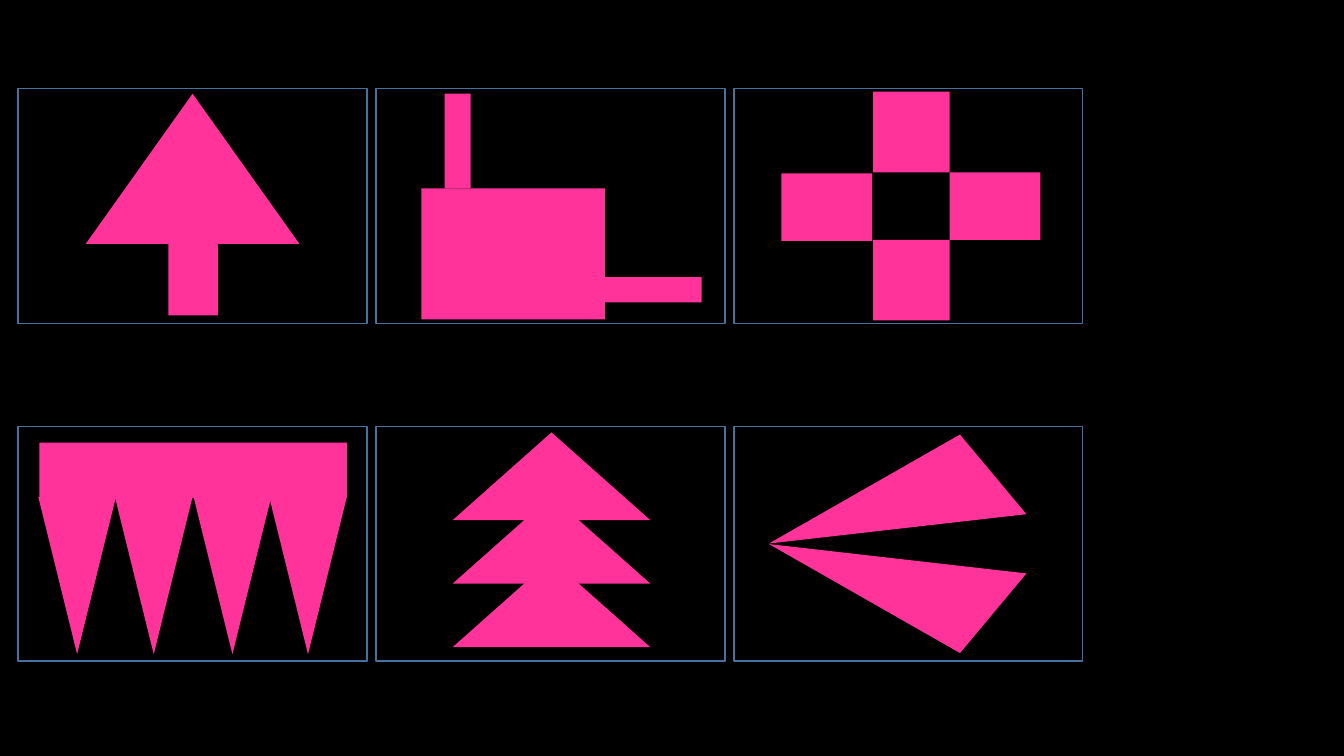
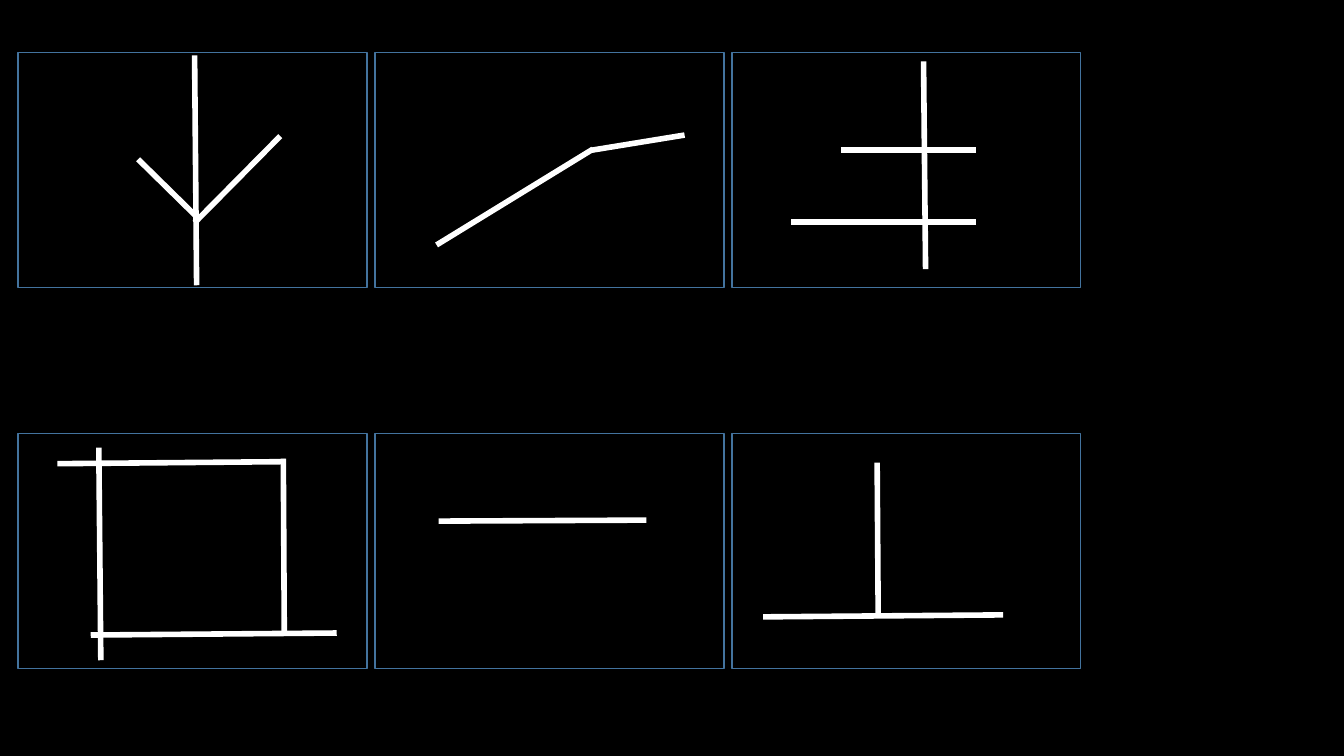
"""Build two slides of framed figures: solid pink silhouettes and white line drawings."""
from itertools import product
from typing import NamedTuple

from lxml import etree
from pptx import Presentation
from pptx.dml.color import RGBColor
from pptx.enum import shapes as kinds
from pptx.oxml import ns
from pptx.util import Inches, Pt

COLORS = {"night": "000000", "pink": "FF3399", "chalk": "FFFFFF", "frame": "43739E"}
FRAME_SIZE = (3.46, 2.33)
RECT = kinds.MSO_SHAPE.RECTANGLE
TRIANGLE = kinds.MSO_SHAPE.ISOSCELES_TRIANGLE


class Block(NamedTuple):
    kind: int
    left: float
    top: float
    width: float
    height: float
    rotation: float = 0
    apex: float = 0.5


class Stroke(NamedTuple):
    x1: float
    y1: float
    x2: float
    y2: float


class FrameGrid(NamedTuple):
    left: float
    pitch: float
    tops: tuple[float, float]


UP_ARROW = [Block(TRIANGLE, 0.85, 0.93, 2.12, 1.49), Block(RECT, 1.67, 2.41, 0.49, 0.72)]
FACTORY = [
    Block(RECT, 4.18, 1.87, 1.82, 1.3),
    Block(RECT, 4.41, 0.93, 0.26, 0.94),
    Block(RECT, 6, 2.75, 0.96, 0.25),
]
CROSS = [Block(RECT, 8.66, top, 0.76, 0.8) for top in (0.91, 2.38)] + [
    Block(RECT, 9.42, 1.71, 0.9, 0.67),
    Block(RECT, 7.75, 1.72, 0.9, 0.67),
]
ICICLES = [Block(RECT, 0.39, 4.39, 3.05, 0.55)] + [
    Block(TRIANGLE, left, 4.93, 0.77, 1.56, 180) for left in (0.38, 1.14, 1.92, 2.67)
]
FIR_TREE = [Block(TRIANGLE, 4.49, 4.29 + 0.63 * tier, 1.96, 0.87) for tier in range(3)]
BEAK = [
    Block(TRIANGLE, 7.57, 4.39, 2.57, 0.86, 353.5, 0.78),
    Block(TRIANGLE, 7.57, 5.54, 2.57, 0.86, 186.5, 0.22),
]
SILHOUETTES = [UP_ARROW, FACTORY, CROSS, ICICLES, FIR_TREE, BEAK]

CROSSED_POST = [
    Stroke(9.16, 0.61, 9.18, 2.67),
    Stroke(7.85, 2.2, 9.68, 2.2),
    Stroke(8.34, 1.49, 9.68, 1.49),
]
DASH = [Stroke(6.41, 5.16, 4.35, 5.17)]
UPRIGHT = [Stroke(9.95, 6.1, 7.57, 6.12), Stroke(8.71, 6.09, 8.7, 4.59)]
SQUARE = [
    Stroke(3.34, 6.28, 0.9, 6.3),
    Stroke(2.83, 4.58, 0.57, 4.6),
    Stroke(2.82, 6.29, 2.81, 4.55),
    Stroke(1, 6.55, 0.98, 4.44),
]
BRANCHES = [
    Stroke(1.95, 2.83, 1.93, 0.55),
    Stroke(1.93, 2.21, 2.78, 1.35),
    Stroke(1.37, 1.58, 1.96, 2.16),
]
BENT_LINE = [Stroke(5.88, 1.48, 4.33, 2.43), Stroke(6.79, 1.34, 5.87, 1.49)]
LINE_DRAWINGS = [CROSSED_POST, DASH, UPRIGHT, SQUARE, BRANCHES, BENT_LINE]


def color(name: str) -> RGBColor:
    return RGBColor.from_string(COLORS[name])


def style_line(line, name: str, points: float) -> None:
    line.fill.solid()
    formats = {"width": Pt(points), "color.rgb": color(name)}
    for key, value in formats.items():
        owner, _, attribute = key.rpartition(".")
        setattr(getattr(line, owner) if owner else line, attribute, value)


def draw_block(canvas, block: Block) -> None:
    lengths = map(Inches, (block.left, block.top, block.width, block.height))
    silhouette = canvas.add_shape(block.kind, *lengths)
    silhouette.shadow.inherit = False
    silhouette.rotation = block.rotation
    if block.kind == TRIANGLE:
        silhouette.adjustments[0] = block.apex
    silhouette.fill.solid()
    silhouette.fill.fore_color.rgb = color("pink")
    silhouette.line.fill.background()


def draw_stroke(canvas, stroke: Stroke) -> None:
    ends = map(Inches, stroke)
    chalk_line = canvas.add_connector(kinds.MSO_CONNECTOR.STRAIGHT, *ends)
    style_line(chalk_line.line, "chalk", 4)
    etree.SubElement(chalk_line._element.spPr, ns.qn("a:effectLst"))


def draw_figure(slide, parts: list) -> None:
    canvas = slide.shapes.add_group_shape().shapes if len(parts) > 1 else slide.shapes
    for part in parts:
        (draw_block if isinstance(part, Block) else draw_stroke)(canvas, part)


def draw_frames(slide, grid: FrameGrid) -> None:
    for top, column in product(grid.tops, range(3)):
        corner = (grid.left + column * grid.pitch, top)
        frame = slide.shapes.add_shape(RECT, *map(Inches, corner + FRAME_SIZE))
        frame.shadow.inherit = False
        frame.fill.background()
        style_line(frame.line, "frame", 1)


def main() -> None:
    deck = Presentation()
    deck.slide_width, deck.slide_height = Inches(13.33), Inches(7.5)
    backdrop = deck.slide_master.background.fill
    backdrop.solid()
    backdrop.fore_color.rgb = color("night")
    pages = [
        (SILHOUETTES, FrameGrid(0.18, 3.55, (0.88, 4.23))),
        (LINE_DRAWINGS, FrameGrid(0.18, 3.54, (0.52, 4.3))),
    ]
    for figures, grid in pages:
        slide = deck.slides.add_slide(deck.slide_layouts[6])
        for figure in figures:
            draw_figure(slide, figure)
        draw_frames(slide, grid)
    deck.save("out.pptx")


if __name__ == "__main__":
    main()
